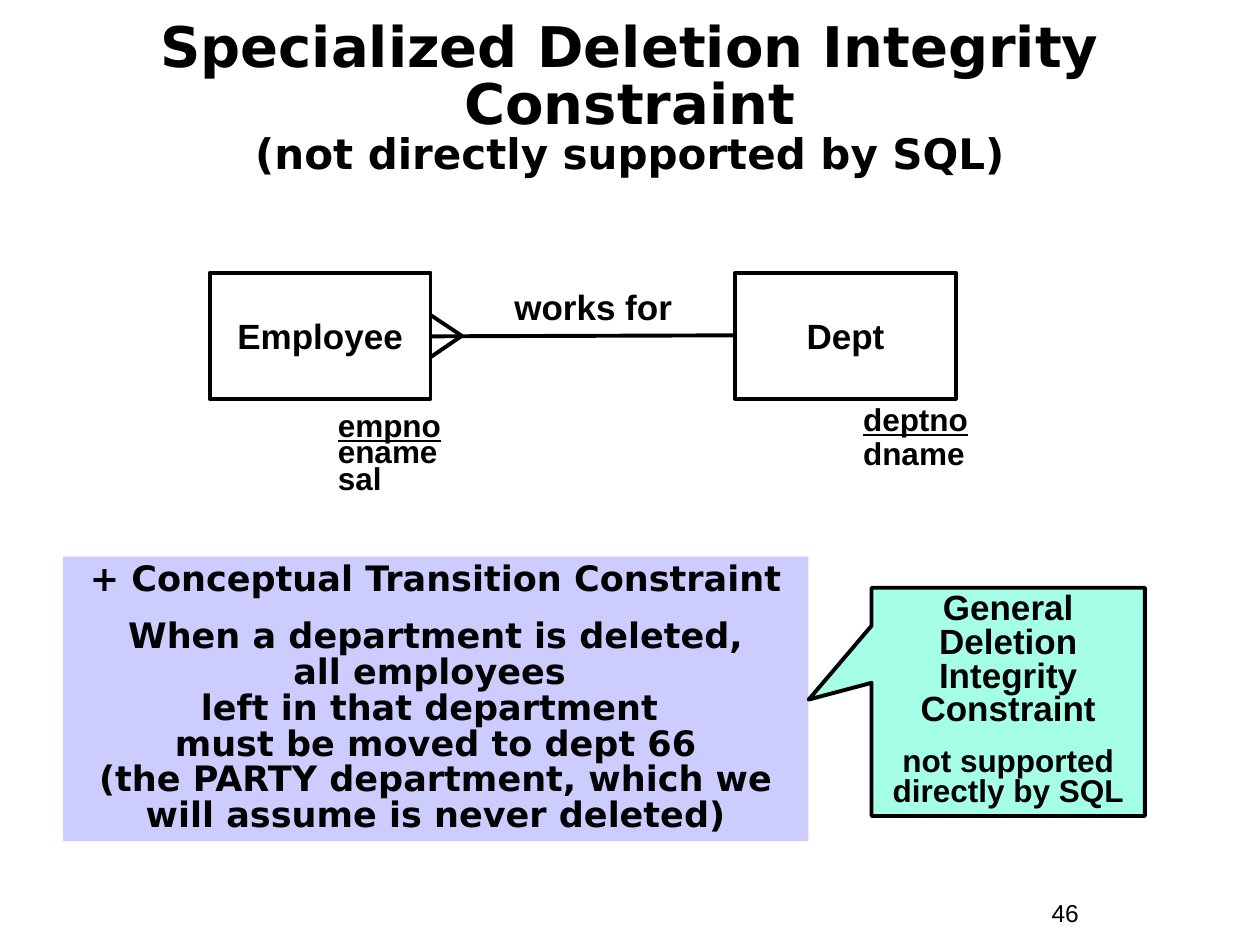
from lxml.etree import SubElement
from pptx import Presentation
from pptx.dml.color import RGBColor
from pptx.enum.shapes import MSO_CONNECTOR, MSO_SHAPE
from pptx.enum.text import MSO_ANCHOR, MSO_AUTO_SIZE, PP_ALIGN
from pptx.oxml.ns import qn
from pptx.util import Cm, Pt


def color(hex_code):
    return RGBColor.from_string(hex_code)


class SlideBuilder:
    ink = "000000"
    line_width = Pt(2.25)
    label_font = "Arial"
    heading_font = "DejaVu Sans"

    def __init__(self, slide):
        self.slide = slide

    def fill_text(self, frame, paragraphs, sizes, font=None, align=PP_ALIGN.CENTER,
                  spacing=1.0, gap=0, bold=True, anchor=MSO_ANCHOR.TOP,
                  wrap=True, fit=MSO_AUTO_SIZE.SHAPE_TO_FIT_TEXT):
        """Fill a frame; sizes holds one size per paragraph."""
        frame.text = "\n".join(paragraphs)
        frame.word_wrap = wrap
        frame.auto_size = fit
        frame.vertical_anchor = anchor
        for index, (paragraph, size) in enumerate(zip(frame.paragraphs, sizes)):
            paragraph.alignment = align
            paragraph.line_spacing = spacing
            paragraph.space_before = Pt(gap if index else 0)
            for run in paragraph.runs:
                run.font.name = font or self.label_font
                run.font.size = Pt(size)
                run.font.bold = bold
                run.font.color.rgb = color(self.ink)
            # Line breaks carry their own size
            for line_break in paragraph._p.findall(qn("a:br")):
                SubElement(line_break, qn("a:rPr"), sz=str(size * 100))

    def title(self, heading, subtitle, left, top, width, height):
        title = self.slide.shapes.title
        title.left, title.top = Cm(left), Cm(top)
        title.width, title.height = Cm(width), Cm(height)
        self.fill_text(title.text_frame, [f"{heading}\v{subtitle}"], [32],
                       font=self.heading_font, spacing=0.85,
                       anchor=MSO_ANCHOR.MIDDLE, fit=MSO_AUTO_SIZE.NONE)
        title.text_frame.paragraphs[0].runs[-1].font.size = Pt(24)

    def label(self, paragraphs, left, top, width, height, size=20, **style):
        box = self.slide.shapes.add_textbox(Cm(left), Cm(top), Cm(width), Cm(height))
        self.fill_text(box.text_frame, paragraphs, [size] * len(paragraphs), **style)
        return box

    def panel(self, paragraphs, sizes, left, top, width, height, fill=None,
              outlined=True, preset=MSO_SHAPE.RECTANGLE, **style):
        panel = self.slide.shapes.add_shape(
            preset, Cm(left), Cm(top), Cm(width), Cm(height))
        panel.shadow.inherit = False
        if fill:
            panel.fill.solid()
            panel.fill.fore_color.rgb = color(fill)
        else:
            panel.fill.background()
        if outlined:
            panel.line.color.rgb = color(self.ink)
            panel.line.width = self.line_width
        else:
            panel.line.fill.background()
        self.fill_text(panel.text_frame, paragraphs, sizes, **style)
        return panel

    def entity(self, name, left, top):
        self.panel([name], [20], left, top, 4.45, 2.54, wrap=False,
                   anchor=MSO_ANCHOR.MIDDLE, fit=MSO_AUTO_SIZE.NONE)

    def attributes(self, names, left, top, height, spacing):
        """List an entity's attributes, with the key underlined."""
        listing = self.label(names, left, top, 2.97, height, size=18,
                             align=PP_ALIGN.LEFT, spacing=spacing)
        listing.text_frame.paragraphs[0].runs[0].font.underline = True

    def line(self, x1, y1, x2, y2):
        line = self.slide.shapes.add_connector(
            MSO_CONNECTOR.STRAIGHT, Cm(x1), Cm(y1), Cm(x2), Cm(y2))
        line.line.color.rgb = color(self.ink)
        line.line.width = self.line_width
        SubElement(line._element.spPr, qn("a:effectLst"))


def main():
    deck = Presentation()
    deck.slide_width, deck.slide_height = Cm(25.4), Cm(19.05)
    builder = SlideBuilder(deck.slides.add_slide(deck.slide_layouts[5]))

    # Slide number and title
    builder.label(["46"], 20.95, 17.98, 2.34, 0.86, size=14,
                  align=PP_ALIGN.LEFT, bold=False)
    builder.title("Specialized Deletion Integrity Constraint",
                  "(not directly supported by SQL)", 0.85, 0.85, 23.7, 2.33)

    # Entities
    builder.entity("Dept", 14.82, 5.5)
    builder.entity("Employee", 4.23, 5.5)

    # Relationship with its crow's foot
    builder.line(14.78, 6.76, 8.71, 6.78)
    for toe_y in (6.35, 7.2):
        builder.line(9.31, 6.77, 8.68, toe_y)
    builder.label(["works for"], 9.95, 5.64, 4.02, 1.11)

    # Attributes
    builder.attributes(["deptno", "dname"], 17.15, 8.03, 1.63, 0.9)
    builder.attributes(["empno", "ename", "sal"], 6.56, 8.26, 1.85, 0.7)

    # Transition constraint
    rule = "\v".join([
        "When a department is deleted,",
        "all employees ",
        "left in that department ",
        "must be moved to dept 66",
        "(the PARTY department, which we will assume is never deleted)",
    ])
    builder.panel(["+ Conceptual Transition Constraint", rule], [20, 20],
                  1.27, 11.22, 15.03, 5.74, fill="CCCCFF", outlined=False,
                  font=builder.heading_font, spacing=0.85, gap=12.5)

    # Callout on the general constraint
    callout = builder.panel(
        ["General\vDeletion\vIntegrity\vConstraint", "not supported directly by SQL"],
        [20, 18], 17.57, 11.85, 5.51, 4.6, fill="A5FFE7",
        preset=MSO_SHAPE.RECTANGULAR_CALLOUT, spacing=0.8, gap=11.2)
    callout.adjustments[0] = -0.73
    callout.adjustments[1] = -0.01

    deck.save("out.pptx")


if __name__ == "__main__":
    main()
